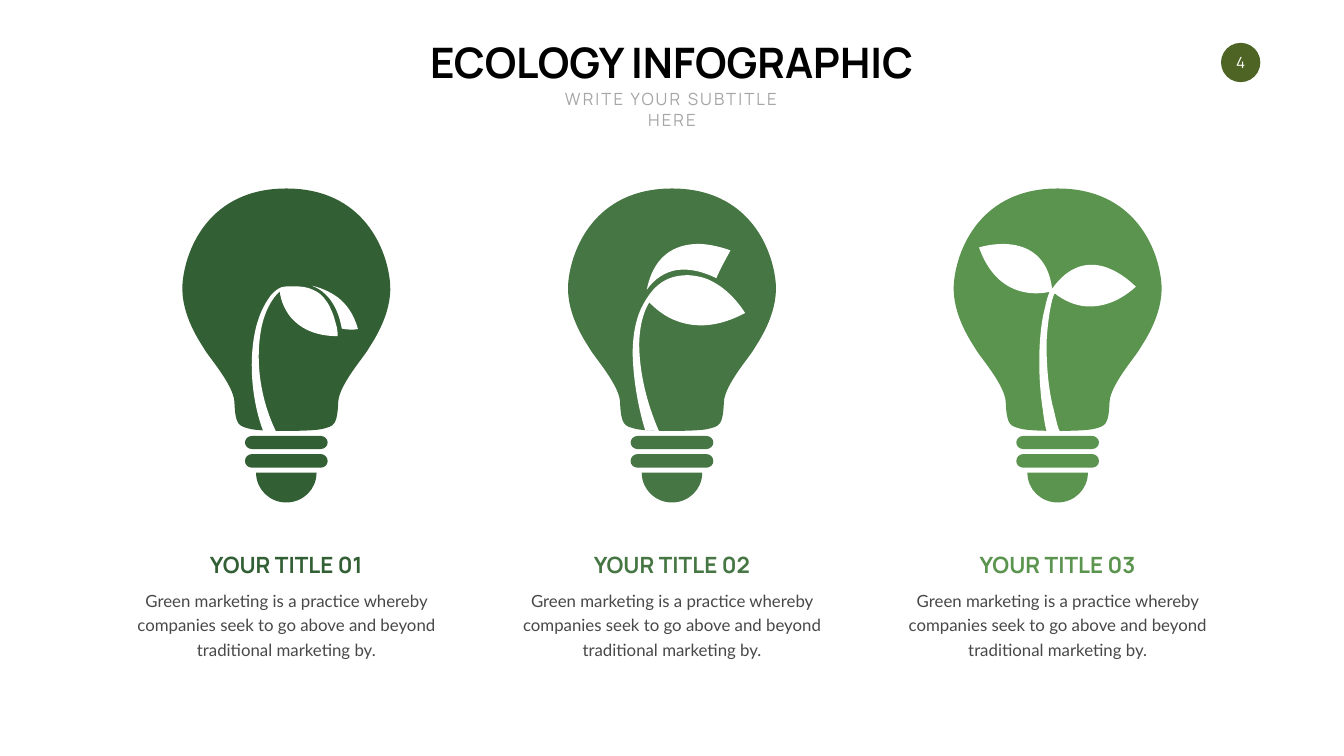
import pptx
import pptx.util
import pptx.dml.color
import pptx.enum.shapes
import pptx.enum.text
import pptx.oxml
import pptx.oxml.ns

Inches, Pt = pptx.util.Inches, pptx.util.Pt
ANCHOR = pptx.enum.text.MSO_ANCHOR

# Content
COLORS = {"dark": "335F35", "middle": "467643", "light": "5B944E", "badge": "4D6425",
          "white": "FFFFFF", "black": "000000", "subtitle": "A6A6A6", "body": "484848"}
TITLE, SUBTITLE, PAGE_NUMBER = "ECOLOGY INFOGRAPHIC", "WRITE YOUR SUBTITLE HERE", "4"
BODY = ("Green marketing is a practice whereby companies seek to go above "
        "and beyond traditional marketing by.")

# An outline is a start point, then steps: 2 numbers for a line, 6 for a Bezier curve.
# Left halves of the first bulb: glass, two screw rings, foot
BULB_HALVES = [
    [(5.68, 3.74), (4.15, 3.74, 3.67, 4.95, 3.62, 5.64), (3.58, 6.26, 4, 6.83, 4.05, 6.92),
     (4.13, 7.07, 4.63, 7.63, 4.65, 7.97), (4.67, 8.44, 4.73, 8.45, 4.96, 8.51),
     (5.08, 8.54, 5.38, 8.55, 5.68, 8.55)],
    [(5.68, 8.65), (5, 8.65), (4.92, 8.65, 4.86, 8.71, 4.86, 8.78),
     (4.86, 8.85, 4.92, 8.91, 5, 8.91), (5.68, 8.91)],
    [(5.68, 9.01), (5, 9.01), (4.92, 9.01, 4.86, 9.07, 4.86, 9.15),
     (4.86, 9.22, 4.92, 9.28, 5, 9.28), (5.68, 9.28)],
    [(5.68, 9.38), (5.08, 9.38), (5.08, 9.71, 5.35, 9.97, 5.68, 9.97)],
]
CLOSED_SPROUT = [
    [(6.19, 5.67), (6.4, 5.75, 6.54, 5.9, 6.63, 6.07), (6.72, 6.23, 6.76, 6.41, 6.78, 6.52),
     (6.87, 6.54, 6.95, 6.54, 7.01, 6.54), (7.1, 6.53),
     (7.02, 6.23, 6.87, 6.03, 6.7, 5.9), (6.52, 5.77, 6.33, 5.7, 6.19, 5.67)],
    [(5.81, 5.68), (5.73, 5.68, 5.65, 5.68, 5.58, 5.7), (5.5, 5.73, 5.44, 5.79, 5.38, 5.85),
     (5.33, 5.92, 5.28, 5.99, 5.24, 6.07), (5.17, 6.19, 5.12, 6.34, 5.08, 6.49),
     (4.91, 7.18, 5.01, 8, 5.22, 8.55), (5.47, 8.55),
     (5.23, 8.06, 5.03, 7.28, 5.19, 6.48), (5.25, 6.2, 5.38, 5.93, 5.55, 5.78),
     (5.56, 5.89, 5.61, 6.11, 5.78, 6.31), (5.95, 6.5, 6.23, 6.67, 6.7, 6.67),
     (6.7, 6.61, 6.69, 6.52, 6.67, 6.45), (6.64, 6.35, 6.62, 6.25, 6.57, 6.15),
     (6.53, 6.04, 6.45, 5.93, 6.37, 5.85), (6.32, 5.81, 6.27, 5.77, 6.21, 5.75),
     (6.09, 5.69, 5.95, 5.68, 5.81, 5.68)],
]
OPENING_SPROUT = [
    [(13.9, 4.84), (13.48, 4.83, 12.98, 4.99, 12.83, 5.75),
     (12.99, 5.52, 13.2, 5.4, 13.41, 5.36), (13.56, 5.34, 13.7, 5.35, 13.83, 5.38),
     (13.96, 5.41, 14.09, 5.46, 14.21, 5.52), (14.28, 5.35, 14.38, 5.17, 14.49, 4.97),
     (14.49, 4.97, 14.22, 4.86, 13.9, 4.84)],
    [(13.65, 5.46), (13.45, 5.46, 13.24, 5.5, 13.05, 5.66),
     (12.98, 5.72, 12.89, 5.81, 12.77, 6.02), (12.62, 6.28, 12.55, 6.63, 12.55, 7.02),
     (12.56, 7.54, 12.67, 8.13, 12.8, 8.54), (13.07, 8.55),
     (12.9, 8.16, 12.69, 7.54, 12.68, 6.85), (12.68, 6.53, 12.75, 6.2, 12.88, 6),
     (12.99, 6.11, 13.18, 6.29, 13.46, 6.38), (13.8, 6.5, 14.24, 6.5, 14.78, 6.21),
     (14.77, 6.2, 14.54, 5.8, 14.14, 5.59), (14, 5.51, 13.83, 5.47, 13.65, 5.46)],
]
OPEN_SPROUT = [
    [(19.9, 4.84), (19.63, 4.84, 19.42, 4.91, 19.42, 4.91),
     (19.79, 5.95, 20.61, 5.84, 20.82, 5.79),
     (20.78, 5.89, 20.75, 5.99, 20.73, 6.1), (20.59, 6.61, 20.58, 7.48, 20.69, 8.16),
     (20.69, 8.19, 20.74, 8.52, 20.76, 8.55), (21.02, 8.55),
     (20.98, 8.51, 20.9, 8.1, 20.88, 8.05), (20.79, 7.65, 20.76, 7.25, 20.76, 6.84),
     (20.76, 6.6, 20.83, 5.98, 20.92, 5.82), (21.01, 5.89, 21.21, 6.03, 21.47, 6.07),
     (21.77, 6.11, 22.14, 6.04, 22.53, 5.69), (22.53, 5.69, 22.26, 5.4, 21.9, 5.29),
     (21.59, 5.2, 21.21, 5.25, 20.87, 5.73), (20.8, 5.16, 20.48, 4.94, 20.17, 4.87),
     (20.08, 4.85, 19.98, 4.84, 19.9, 4.84)],
]
COLUMNS = [("YOUR TITLE 01", "dark", CLOSED_SPROUT),
           ("YOUR TITLE 02", "middle", OPENING_SPROUT),
           ("YOUR TITLE 03", "light", OPEN_SPROUT)]
FIRST_CENTER, PITCH = 5.68, 7.65


def rgb(name):
    return pptx.dml.color.RGBColor.from_string(COLORS[name])


def trace(outline):
    """List the start point, then three Bezier points for every step."""
    points = [outline[0]]
    for step in outline[1:]:
        if len(step) == 2:
            points += [points[-1], step, step]
        else:
            points += [step[:2], step[2:4], step[4:]]
    return points


def mirror(points):
    """Complete a left half with its right half."""
    return points + [(2 * FIRST_CENTER - x, y) for x, y in reversed(points[:-1])]


def paint(shape, color):
    shape.fill.solid()
    shape.fill.fore_color.rgb = rgb(color)
    shape.line.fill.background()
    shape.shadow.inherit = False


def bend(shape):
    """Fold every three line segments into one Bezier curve."""
    lines = list(shape._element.iter(pptx.oxml.ns.qn("a:lnTo")))
    for start in range(0, len(lines), 3):
        curve = pptx.oxml.parse_xml(f"<a:cubicBezTo {pptx.oxml.ns.nsdecls('a')}/>")
        lines[start].addprevious(curve)
        for line in lines[start:start + 3]:
            curve.append(line[0])
            line.getparent().remove(line)


def draw(shapes, contours, color, shift=0.0):
    scaled = [[(Inches(x + shift), Inches(y)) for x, y in points] for points in contours]
    builder = shapes.build_freeform(*scaled[0][0], scale=1.0)
    for index, points in enumerate(scaled):
        if index:
            builder.move_to(*points[0])
        builder.add_line_segments(points[1:], close=True)
    shape = builder.convert_to_shape()
    bend(shape)
    paint(shape, color)


def write(box, text, *, size, color, font="Manrope", bold=False, wrap=True,
          anchor=ANCHOR.TOP, leading=1.0, tracking=0, inset=0.1):
    frame = box.text_frame
    frame.word_wrap = wrap
    frame.auto_size = pptx.enum.text.MSO_AUTO_SIZE.NONE
    frame.vertical_anchor = anchor
    frame.margin_left = frame.margin_right = Inches(inset)
    frame.margin_top = frame.margin_bottom = Inches(0.05)
    para = frame.paragraphs[0]
    para.alignment = pptx.enum.text.PP_ALIGN.CENTER
    para.line_spacing = leading
    para.space_before = Pt(0)
    span = para.add_run()
    span.text = text
    span.font.size, span.font.name, span.font.bold = Pt(size), font, bold
    span.font.color.rgb = rgb(color)
    if tracking:
        span.font._element.set("spc", str(tracking * 100))


def main():
    deck = pptx.Presentation()
    deck.slide_width, deck.slide_height = Inches(26.66), Inches(15)
    page = deck.slides.add_slide(deck.slide_layouts[5])
    shapes = page.shapes

    def text_box(center, top, width, height):
        return shapes.add_textbox(Inches(center - width / 2), Inches(top),
                                  Inches(width), Inches(height))

    # Heading
    title = shapes.title
    title.left, title.top = Inches(8.2), Inches(0.67)
    title.width, title.height = Inches(10.25), Inches(1.11)
    write(title, TITLE, size=60, color="black", bold=True, wrap=False)
    write(text_box(13.33, 1.72, 5, 0.9), SUBTITLE, size=24, color="subtitle", tracking=3)

    # Page number
    badge = shapes.add_shape(pptx.enum.shapes.MSO_SHAPE.OVAL, Inches(24.22), Inches(0.85),
                             Inches(0.78), Inches(0.78))
    paint(badge, "badge")
    write(badge, PAGE_NUMBER, size=22, color="white", anchor=ANCHOR.MIDDLE, inset=0.05)

    # Bulbs with their sprouts and captions
    bulb = [mirror(trace(half)) for half in BULB_HALVES]
    for index, (heading, color, sprout) in enumerate(COLUMNS):
        center = FIRST_CENTER + index * PITCH
        group = shapes.add_group_shape()
        draw(group.shapes, bulb, color, shift=index * PITCH)
        draw(group.shapes, [trace(outline) for outline in sprout], "white")
        write(text_box(center, 10.88, 3.32, 0.64), heading, size=32, color=color, bold=True,
              wrap=False, anchor=ANCHOR.MIDDLE)
        write(text_box(center, 11.58, 6.18, 1.52), BODY, size=24, color="body", font="Lato",
              leading=Pt(35))

    deck.save("out.pptx")


if __name__ == "__main__":
    main()
